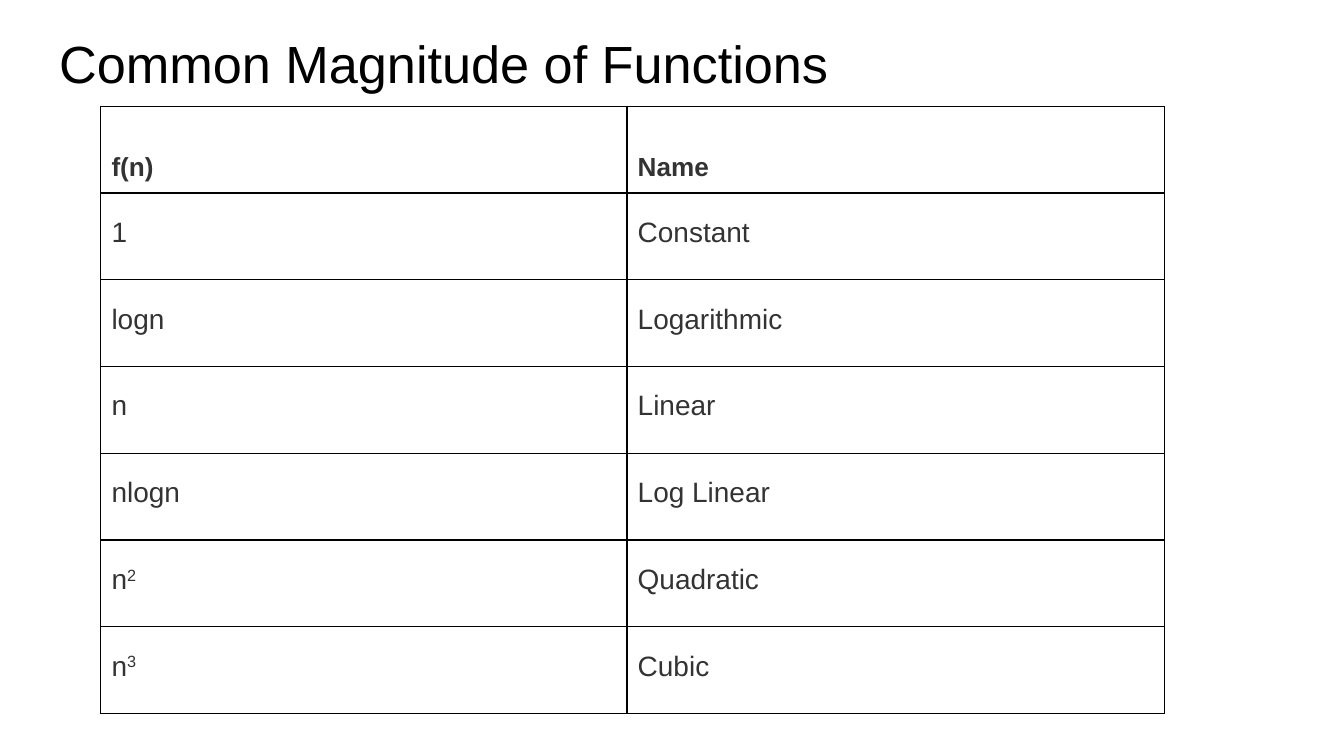
from lxml import etree
from pptx import Presentation
from pptx.dml.color import RGBColor
from pptx.enum import text
from pptx.oxml.ns import qn
from pptx.util import Inches, Pt

FONT = "Arial"
BLACK = RGBColor(0x00, 0x00, 0x00)
DARK_GRAY = RGBColor(0x33, 0x33, 0x33)
WHITE = RGBColor(0xFF, 0xFF, 0xFF)

SLIDE_WIDTH = 10
COLUMN_WIDTHS = (3.915, 4)
TABLE_HEIGHT = 4.52
THIN, THICK = 0.75, 1.5

# Each row: base of f(n), its exponent, name
ROWS = [
    ("f(n)", "", "Name"),
    ("1", "", "Constant"),
    ("logn", "", "Logarithmic"),
    ("n", "", "Linear"),
    ("nlogn", "", "Log Linear"),
    ("n", "2", "Quadratic"),
    ("n", "3", "Cubic"),
]


def add_run(paragraph, content, size, color, bold=False):
    run = paragraph.add_run()
    run.text = content
    run.font.name = FONT
    run.font.size = Pt(size)
    run.font.bold = bold
    run.font.color.rgb = color
    return run


def add_cell_run(paragraph, content, size, bold=False, superscript=False):
    """Add a run with a white highlight, raised if it is an exponent."""
    run = add_run(paragraph, content, size, DARK_GRAY, bold)
    properties = run._r.get_or_add_rPr()
    highlight = etree.Element(qn("a:highlight"))
    etree.SubElement(highlight, qn("a:srgbClr"), val=str(WHITE))
    properties.find(qn("a:solidFill")).addnext(highlight)
    if superscript:
        properties.set("baseline", "30000")


def set_margins(target, inset):
    target.margin_left = target.margin_right = Inches(inset)
    target.margin_top = target.margin_bottom = Inches(inset)


def set_borders(cell, top, bottom):
    """Draw black borders; the sides are thin, top and bottom are in points."""
    properties = cell._tc.get_or_add_tcPr()
    for side, width in (("L", THIN), ("R", THIN), ("T", top), ("B", bottom)):
        line = etree.SubElement(properties, qn(f"a:ln{side}"), w=str(Pt(width)))
        fill = etree.SubElement(line, qn("a:solidFill"))
        etree.SubElement(fill, qn("a:srgbClr"), val=str(BLACK))


def add_title(slide, content):
    title = slide.shapes.title
    title.left, title.top = Inches(0.34), Inches(0.13)
    title.width, title.height = Inches(9.32), Inches(0.63)
    frame = title.text_frame
    frame.auto_size = text.MSO_AUTO_SIZE.NONE
    frame.word_wrap = True
    frame.vertical_anchor = text.MSO_ANCHOR.TOP
    set_margins(frame, 0.1)
    paragraph = frame.paragraphs[0]
    paragraph.alignment = text.PP_ALIGN.LEFT
    paragraph.line_spacing = 1.0
    add_run(paragraph, content, 28, BLACK)


def fill_cell(cell, base, exponent="", header=False):
    cell.vertical_anchor = text.MSO_ANCHOR.BOTTOM if header else text.MSO_ANCHOR.TOP
    set_margins(cell, 0.08)
    paragraph = cell.text_frame.paragraphs[0]
    paragraph.line_spacing = 1.43
    paragraph.space_after = Pt(15)
    size = 14 if header else 15
    add_cell_run(paragraph, base, size, bold=header)
    if exponent:
        add_cell_run(paragraph, exponent, size, superscript=True)


def add_magnitude_table(slide):
    frame = slide.shapes.add_table(
        len(ROWS), len(COLUMN_WIDTHS), Inches(0.75), Inches(0.79),
        Inches(sum(COLUMN_WIDTHS)), Inches(TABLE_HEIGHT))
    table = frame.table
    table.first_row = table.horz_banding = False
    for column, width in zip(table.columns, COLUMN_WIDTHS):
        column.width = Inches(width)
    for index, (base, exponent, name) in enumerate(ROWS):
        header = index == 0
        function_cell, name_cell = table.rows[index].cells
        fill_cell(function_cell, base, exponent, header)
        fill_cell(name_cell, name, header=header)
        for cell in (function_cell, name_cell):
            set_borders(cell, top=THICK if index == 1 else THIN,
                        bottom=THICK if header else THIN)
            cell.fill.background()


def main():
    presentation = Presentation()
    presentation.slide_width = Inches(SLIDE_WIDTH)
    presentation.slide_height = Inches(SLIDE_WIDTH * 9 / 16)
    slide = presentation.slides.add_slide(presentation.slide_layouts[5])
    add_title(slide, "Common Magnitude of Functions")
    add_magnitude_table(slide)
    presentation.save("out.pptx")


if __name__ == "__main__":
    main()
